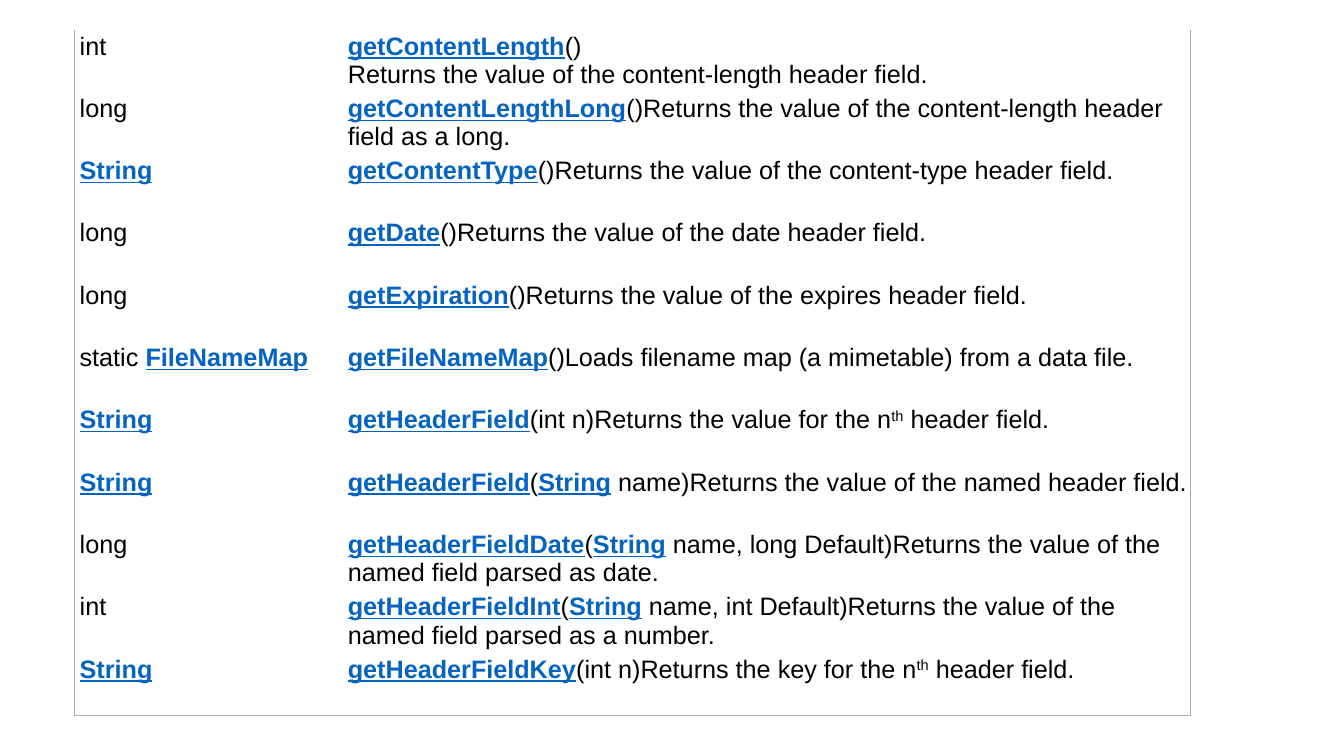
from lxml.etree import SubElement
from pptx import Presentation
from pptx.dml.color import RGBColor
from pptx.oxml.ns import qn
from pptx.util import Inches, Pt

COLORS = {"text": "000000", "link": "0563C1", "cell": "FFFFFF", "border": "9EADC0"}
COLUMN_WIDTHS = (2.66, 8.41)
TABLE_HEIGHT = 6.8
LINK, SUPERSCRIPT = "*", "^"

METHODS = [
    ("int", "*getContentLength|()\nReturns the value of the\u00a0content-length\u00a0header field."),
    ("long", "*getContentLengthLong|()Returns the value of the\u00a0content-length\u00a0header field as a long."),
    ("*String", "*getContentType|()Returns the value of the\u00a0content-type\u00a0header field."),
    ("long", "*getDate|()Returns the value of the\u00a0date\u00a0header field."),
    ("long", "*getExpiration|()Returns the value of the\u00a0expires\u00a0header field."),
    ("static\u00a0|*FileNameMap", "*getFileNameMap|()Loads filename map (a mimetable) from a data file."),
    ("*String", "*getHeaderField|(int\u00a0n)Returns the value for the\u00a0n|^th|\u00a0header field."),
    ("*String", "*getHeaderField|(|*String|\u00a0name)Returns the value of the named header field."),
    ("long", "*getHeaderFieldDate|(|*String|\u00a0name, long\u00a0Default)"
             "Returns the value of the named field parsed as date."),
    ("int", "*getHeaderFieldInt|(|*String|\u00a0name, int\u00a0Default)"
            "Returns the value of the named field parsed as a number."),
    ("*String", "*getHeaderFieldKey|(int\u00a0n)Returns the key for the\u00a0n|^th|\u00a0header field."),
]


def add_text(paragraph, text, *, color="text", bold=False, underline=False, baseline=0, size=18):
    run = paragraph.add_run()
    run.text = text
    font = run.font
    font.name = "Arial"
    font.size = Pt(size)
    font.bold = bold
    font.underline = underline
    font.color.rgb = RGBColor.from_string(COLORS[color])
    if baseline:
        font._element.set("baseline", str(baseline * 1000))


def write_markup(text_frame, markup):
    for index, line in enumerate(markup.split("\n")):
        paragraph = text_frame.add_paragraph() if index else text_frame.paragraphs[0]
        for part in line.split("|"):
            if part.startswith(LINK):
                add_text(paragraph, part[1:], color="link", bold=True, underline=True)
            elif part.startswith(SUPERSCRIPT):
                add_text(paragraph, part[1:], baseline=30)
            else:
                add_text(paragraph, part)


def set_borders(cell, visible_sides):
    properties = cell._tc.get_or_add_tcPr()
    for side in "LRTB":
        line = SubElement(properties, qn(f"a:ln{side}"), w=str(Pt(0.5)))
        if side in visible_sides:
            fill = SubElement(line, qn("a:solidFill"))
            SubElement(fill, qn("a:srgbClr"), val=COLORS["border"])
        else:
            SubElement(line, qn("a:noFill"))


def format_cell(cell, markup, visible_sides):
    cell.margin_left = Inches(0.05)
    cell.margin_right = cell.margin_top = cell.margin_bottom = Inches(0.02)
    set_borders(cell, visible_sides)
    cell.fill.solid()
    cell.fill.fore_color.rgb = RGBColor.from_string(COLORS["cell"])
    write_markup(cell.text_frame, markup)


def add_method_table(slide):
    frame = slide.shapes.add_table(
        len(METHODS), len(COLUMN_WIDTHS), Inches(0.74), Inches(0.3),
        Inches(sum(COLUMN_WIDTHS)), Inches(TABLE_HEIGHT))
    table = frame.table
    table.first_row = table.horz_banding = False
    for column, width in zip(table.columns, COLUMN_WIDTHS):
        column.width = Inches(width)
    for row_index, method in enumerate(METHODS):
        bottom = "B" if row_index == len(METHODS) - 1 else ""
        for column_index, (markup, side) in enumerate(zip(method, "LR")):
            format_cell(table.cell(row_index, column_index), markup, side + bottom)


def main():
    presentation = Presentation()
    presentation.slide_width = Inches(13.33)
    presentation.slide_height = Inches(7.5)
    slide = presentation.slides.add_slide(presentation.slide_layouts[6])
    add_method_table(slide)
    presentation.save("out.pptx")


main()
